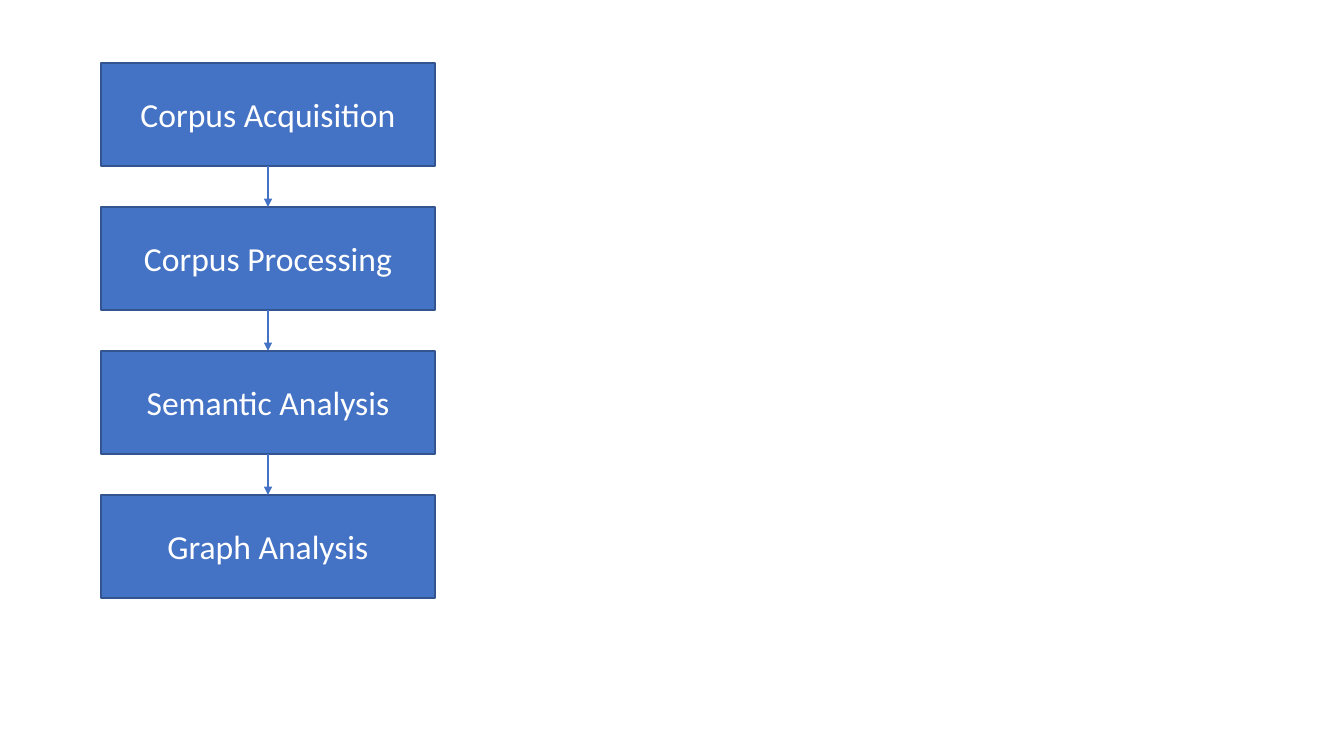
from dataclasses import dataclass

from lxml import etree
from pptx import Presentation
from pptx.dml.color import RGBColor
from pptx.enum.shapes import MSO_CONNECTOR, MSO_SHAPE
from pptx.enum.text import MSO_ANCHOR, PP_ALIGN
from pptx.oxml.ns import qn
from pptx.shapes.autoshape import Shape
from pptx.shapes.shapetree import GroupShapes
from pptx.util import Pt

RECTANGLE = MSO_SHAPE.RECTANGLE
STRAIGHT = MSO_CONNECTOR.STRAIGHT
MIDDLE = MSO_ANCHOR.MIDDLE
CENTER = PP_ALIGN.CENTER

BLUE = RGBColor(0x44, 0x72, 0xC4)
DARK_BLUE = RGBColor(0x32, 0x54, 0x91)
WHITE = RGBColor(0xFF, 0xFF, 0xFF)

EMU_PER_PIXEL = 914400 / 100.8
SLIDE_WIDTH, SLIDE_HEIGHT = 1344, 756
STEP_LEFT, STEP_TOP = 101, 63
STEP_WIDTH, STEP_HEIGHT = 334, 103
STEP_PITCH = 144
TOP_SITE, BOTTOM_SITE = 0, 2
BLANK_LAYOUT = 6


@dataclass(frozen=True)
class Step:
    """One stage of the workflow."""

    label: str
    row: int

    @property
    def top(self) -> int:
        """Return the top edge in pixels."""
        return STEP_TOP + self.row * STEP_PITCH


LABELS = (
    "Corpus Acquisition",
    "Corpus Processing",
    "Semantic Analysis",
    "Graph Analysis",
)
STEPS = [Step(label, row) for row, label in enumerate(LABELS)]


def emu(pixels: int) -> int:
    """Turn pixels into EMU."""
    return round(pixels * EMU_PER_PIXEL)


def draw_step(shapes: GroupShapes, step: Step) -> Shape:
    """Draw a labelled box for one step."""
    box = shapes.add_shape(
        RECTANGLE, emu(STEP_LEFT), emu(step.top), emu(STEP_WIDTH), emu(STEP_HEIGHT)
    )
    box.shadow.inherit = False
    box.fill.solid()
    box.fill.fore_color.rgb = BLUE
    box.line.color.rgb = DARK_BLUE
    box.line.width = Pt(1)
    frame = box.text_frame
    frame.word_wrap = True
    frame.vertical_anchor = MIDDLE
    para = frame.paragraphs[0]
    para.text = step.label
    para.alignment = CENTER
    para.font.name = "Calibri"
    para.font.size = Pt(24)
    para.font.color.rgb = WHITE
    return box


def draw_arrow(shapes: GroupShapes, upper: Shape, lower: Shape) -> None:
    """Join two boxes with a downward arrow."""
    center = upper.left + upper.width // 2
    arrow = shapes.add_connector(
        STRAIGHT, center, upper.top + upper.height, center, lower.top
    )
    arrow.begin_connect(upper, BOTTOM_SITE)
    arrow.end_connect(lower, TOP_SITE)
    arrow.line.color.rgb = BLUE
    arrow.line.width = Pt(2)
    etree.SubElement(arrow.line._get_or_add_ln(), qn("a:tailEnd"), type="triangle")
    etree.SubElement(arrow._element.spPr, qn("a:effectLst"))


def main() -> None:
    """Build the workflow slide and save the deck."""
    deck = Presentation()
    deck.slide_width = emu(SLIDE_WIDTH)
    deck.slide_height = emu(SLIDE_HEIGHT)
    page = deck.slides.add_slide(deck.slide_layouts[BLANK_LAYOUT])
    workflow = page.shapes.add_group_shape().shapes
    boxes = [draw_step(workflow, step) for step in STEPS]
    for upper, lower in zip(boxes, boxes[1:]):
        draw_arrow(workflow, upper, lower)
    deck.save("out.pptx")


main()
